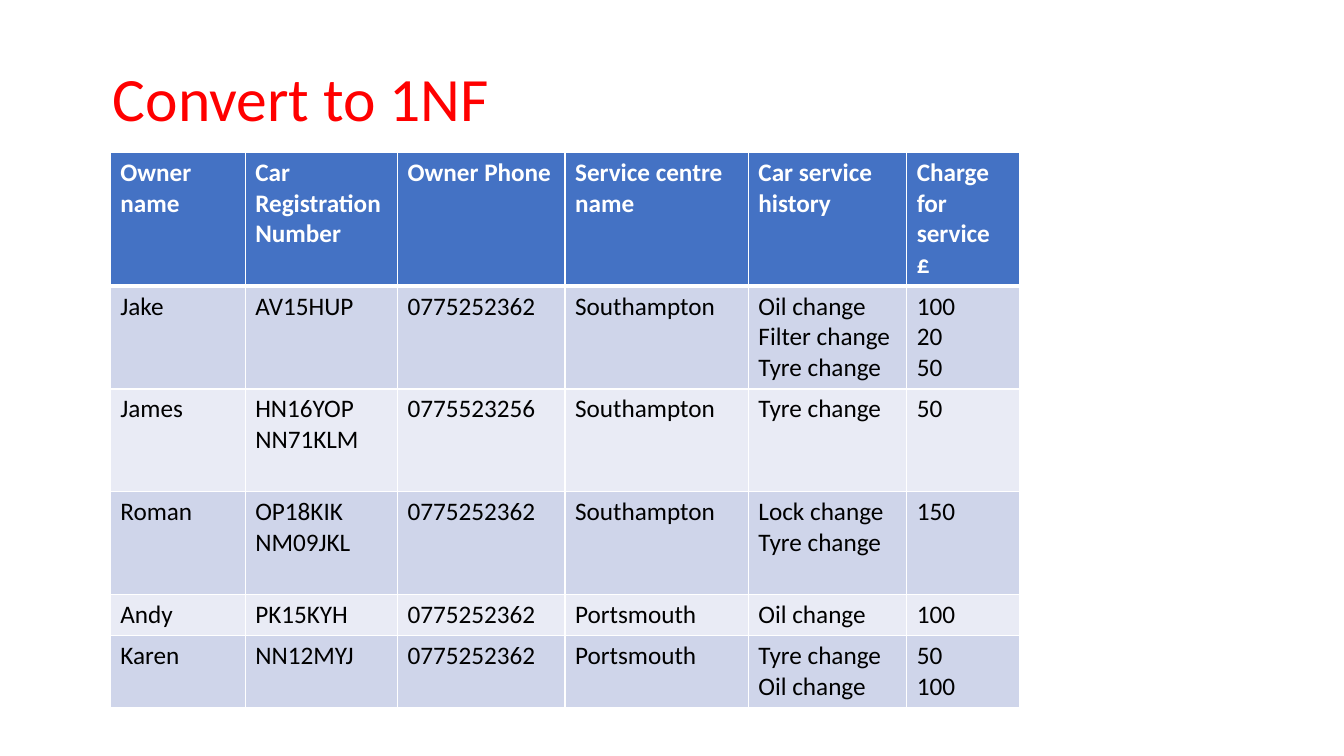
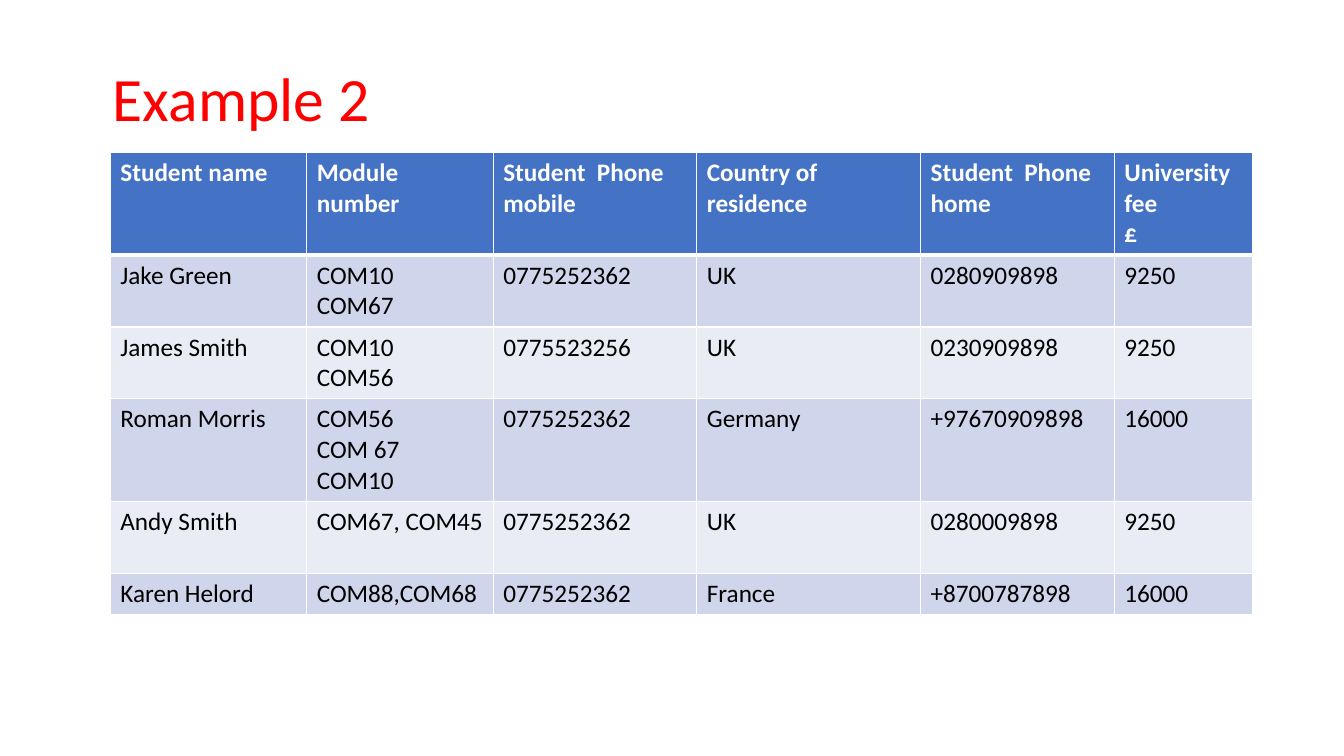
import pptx
import pptx.dml.color
import pptx.enum.text
import pptx.oxml
import pptx.oxml.ns
import pptx.util

Cm = pptx.util.Cm
Pt = pptx.util.Pt
RGBColor = pptx.dml.color.RGBColor

# Shared style
RED = RGBColor(0xFF, 0x00, 0x00)
WHITE = RGBColor(0xFF, 0xFF, 0xFF)
BLACK = RGBColor(0x00, 0x00, 0x00)
HEADER_BLUE = RGBColor(0x44, 0x72, 0xC4)
BAND_DARK = RGBColor(0xCF, 0xD5, 0xEA)
BAND_LIGHT = RGBColor(0xE9, 0xEB, 0xF5)
FONT = "Calibri"
LINE_HEIGHT = 0.78
CELL_PADDING = 0.25

# Each table: title, column widths in cm, text lines per row, cell texts
TABLES = [
    (
        "Convert to 1NF",
        [3.4, 3.84, 4.22, 4.62, 3.99, 2.84],
        [4, 3, 3, 3, 1, 2],
        [
            ["Owner name", "Car Registration Number", "Owner Phone",
             "Service centre name", "Car service history", "Charge\nfor service\n£"],
            ["Jake", "AV15HUP", "0775252362", "Southampton",
             "Oil change\nFilter change\nTyre change", "100\n20\n50"],
            ["James", "HN16YOP\nNN71KLM", "0775523256", "Southampton",
             "Tyre change", "50"],
            ["Roman", "OP18KIK\nNM09JKL", "0775252362", "Southampton",
             "Lock change\nTyre change", "150"],
            ["Andy", "PK15KYH", "0775252362", "Portsmouth", "Oil change", "100"],
            ["Karen", "NN12MYJ", "0775252362", "Portsmouth",
             "Tyre change\nOil change", "50\n100"],
        ],
    ),
    (
        "Example 2",
        [4.95, 4.7, 5.13, 5.64, 4.88, 3.48],
        [3, 2, 2, 3, 2, 1],
        [
            ["Student name", "Module number", "Student  Phone mobile",
             "Country of residence", "Student  Phone home", "University fee\n£"],
            ["Jake Green", "COM10\nCOM67", "0775252362", "UK", "0280909898", "9250"],
            ["James Smith", "COM10\nCOM56", "0775523256", "UK", "0230909898", "9250"],
            ["Roman Morris", "COM56\nCOM 67\nCOM10", "0775252362", "Germany",
             "+97670909898", "16000"],
            ["Andy Smith", "COM67, COM45", "0775252362", "UK", "0280009898", "9250"],
            ["Karen Helord", "COM88,COM68", "0775252362", "France",
             "+8700787898", "16000"],
        ],
    ),
]


def add_borders(cell, row_index):
    """Draw white cell borders, with a thick rule under the header row."""
    thick_side = {0: "lnB", 1: "lnT"}.get(row_index)
    properties = cell._tc.get_or_add_tcPr()
    for side in ("lnL", "lnR", "lnT", "lnB"):
        width = Pt(3 if side == thick_side else 1)
        properties.append(pptx.oxml.parse_xml(
            f'<a:{side} {pptx.oxml.ns.nsdecls("a")} w="{width}">'
            f'<a:solidFill><a:srgbClr val="{WHITE}"/></a:solidFill></a:{side}>'
        ))


deck = pptx.Presentation()
deck.slide_width = Cm(33.87)
deck.slide_height = Cm(19.05)

# Title position, inherited by every page
layout = deck.slide_layouts.get_by_name("Title Only")
title_holder = layout.placeholders[0]
title_holder.left, title_holder.top = Cm(2.59), Cm(0.71)
title_holder.width, title_holder.height = Cm(29.21), Cm(3.68)

for title, widths, line_counts, rows in TABLES:
    page = deck.slides.add_slide(layout)

    # Title
    page.shapes.title.text = title
    para = page.shapes.title.text_frame.paragraphs[0]
    para.alignment = pptx.enum.text.PP_ALIGN.LEFT
    para.line_spacing = 0.9
    para.font.name = FONT
    para.font.size = Pt(44)
    para.font.color.rgb = RED

    # Table grid
    heights = [count * LINE_HEIGHT + CELL_PADDING for count in line_counts]
    table = page.shapes.add_table(
        len(rows), len(widths), Cm(2.78), Cm(3.84), Cm(sum(widths)), Cm(sum(heights))
    ).table
    for column, width in zip(table.columns, widths):
        column.width = Cm(width)
    for row, height in zip(table.rows, heights):
        row.height = Cm(height)

    # Table cells
    for row_index, texts in enumerate(rows):
        is_header = row_index == 0
        band = BAND_DARK if row_index % 2 else BAND_LIGHT
        for column_index, text in enumerate(texts):
            cell = table.cell(row_index, column_index)
            add_borders(cell, row_index)
            cell.fill.solid()
            cell.fill.fore_color.rgb = HEADER_BLUE if is_header else band
            cell.text = text
            for para in cell.text_frame.paragraphs:
                para.font.name = FONT
                para.font.size = Pt(18)
                para.font.bold = is_header
                para.font.color.rgb = WHITE if is_header else BLACK

deck.save("out.pptx")
